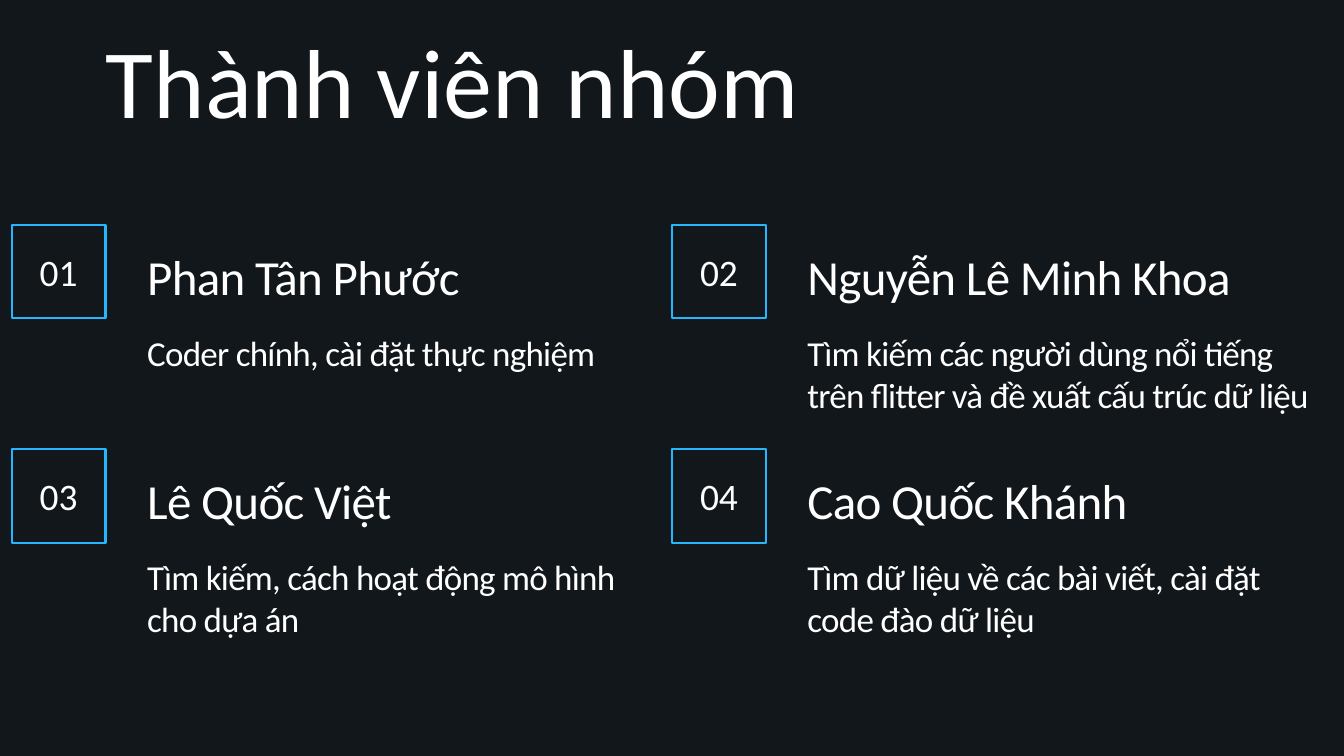
"""Build the team members slide: a title above a two-by-two grid of numbered people."""
from pptx import Presentation
from pptx import util as u
from pptx.dml.color import RGBColor
from pptx.enum import shapes, text

TITLE = "Thành viên nhóm"
MEMBERS = [
    ("Phan Tân Phước", "Coder chính, cài đặt thực nghiệm"),
    ("Nguyễn Lê Minh Khoa", "Tìm kiếm các người dùng nổi tiếng trên flitter và đề xuất cấu trúc dữ liệu"),
    ("Lê Quốc Việt", "Tìm kiếm, cách hoạt động mô hình cho dựa án"),
    ("Cao Quốc Khánh", "Tìm dữ liệu về các bài viết, cài đặt code đào dữ liệu"),
]
BACKGROUND, ACCENT, WHITE = "12171B", "25B6FF", "FFFFFF"
FONT = "Calibri"
COLUMNS = 2
LEFT, TOP = 0.3, 5.66
COLUMN_PITCH, ROW_PITCH = 16.64, 5.66
BOX_SIZE = 2.36
TEXT_INDENT = 3.08
NAME_WIDTH, NAME_HEIGHT = 12.01, 2.87
ROLE_WIDTHS, ROLE_HEIGHT = (13.56, 13.87), 3.3
INSET = 0.33


def paint(target, color):
    target.solid()
    target.fore_color.rgb = RGBColor.from_string(color)


def write(shape, content, size, align=text.PP_ALIGN.LEFT, anchor=text.MSO_ANCHOR.TOP, spacing=0):
    frame = shape.text_frame
    frame.word_wrap = True
    frame.vertical_anchor = anchor
    frame.margin_left = frame.margin_right = u.Cm(INSET)
    frame.margin_top = frame.margin_bottom = u.Cm(INSET)
    para = frame.paragraphs[0]
    para.alignment = align
    span = para.add_run()
    span.text = content
    span.font.name = FONT
    span.font.size = u.Pt(size)
    paint(span.font.fill, WHITE)
    if spacing:
        span.font._element.set("spc", str(round(spacing * 100)))


def add_text(slide, content, left, top, width, height, **style):
    box = slide.shapes.add_textbox(u.Cm(left), u.Cm(top), u.Cm(width), u.Cm(height))
    write(box, content, **style)


def add_number(slide, content, left, top):
    box = slide.shapes.add_shape(
        shapes.MSO_SHAPE.RECTANGLE, u.Cm(left), u.Cm(top), u.Cm(BOX_SIZE), u.Cm(BOX_SIZE))
    box.shadow.inherit = False
    box.fill.background()
    paint(box.line.fill, ACCENT)
    box.line.width = u.Pt(1.5)
    write(box, content, 26.7, align=text.PP_ALIGN.CENTER, anchor=text.MSO_ANCHOR.MIDDLE)


def main():
    deck = Presentation()
    deck.slide_width, deck.slide_height = u.Cm(33.87), u.Cm(19.05)
    slide = deck.slides.add_slide(deck.slide_layouts[6])
    paint(slide.background.fill, BACKGROUND)
    add_text(slide, TITLE, 2.34, 0.18, 28.52, 3.38, size=70)

    for index, (name, role) in enumerate(MEMBERS):
        row, column = divmod(index, COLUMNS)
        left, top = LEFT + column * COLUMN_PITCH, TOP + row * ROW_PITCH
        text_left, name_bottom = left + TEXT_INDENT, top + BOX_SIZE
        add_number(slide, f"{index + 1:02}", left, top)
        add_text(slide, name, text_left, name_bottom - NAME_HEIGHT, NAME_WIDTH, NAME_HEIGHT,
                 size=35, anchor=text.MSO_ANCHOR.BOTTOM, spacing=-0.5)
        add_text(slide, role, text_left, name_bottom, ROLE_WIDTHS[column], ROLE_HEIGHT,
                 size=25, spacing=-0.5)

    deck.save("out.pptx")


if __name__ == "__main__":
    main()
